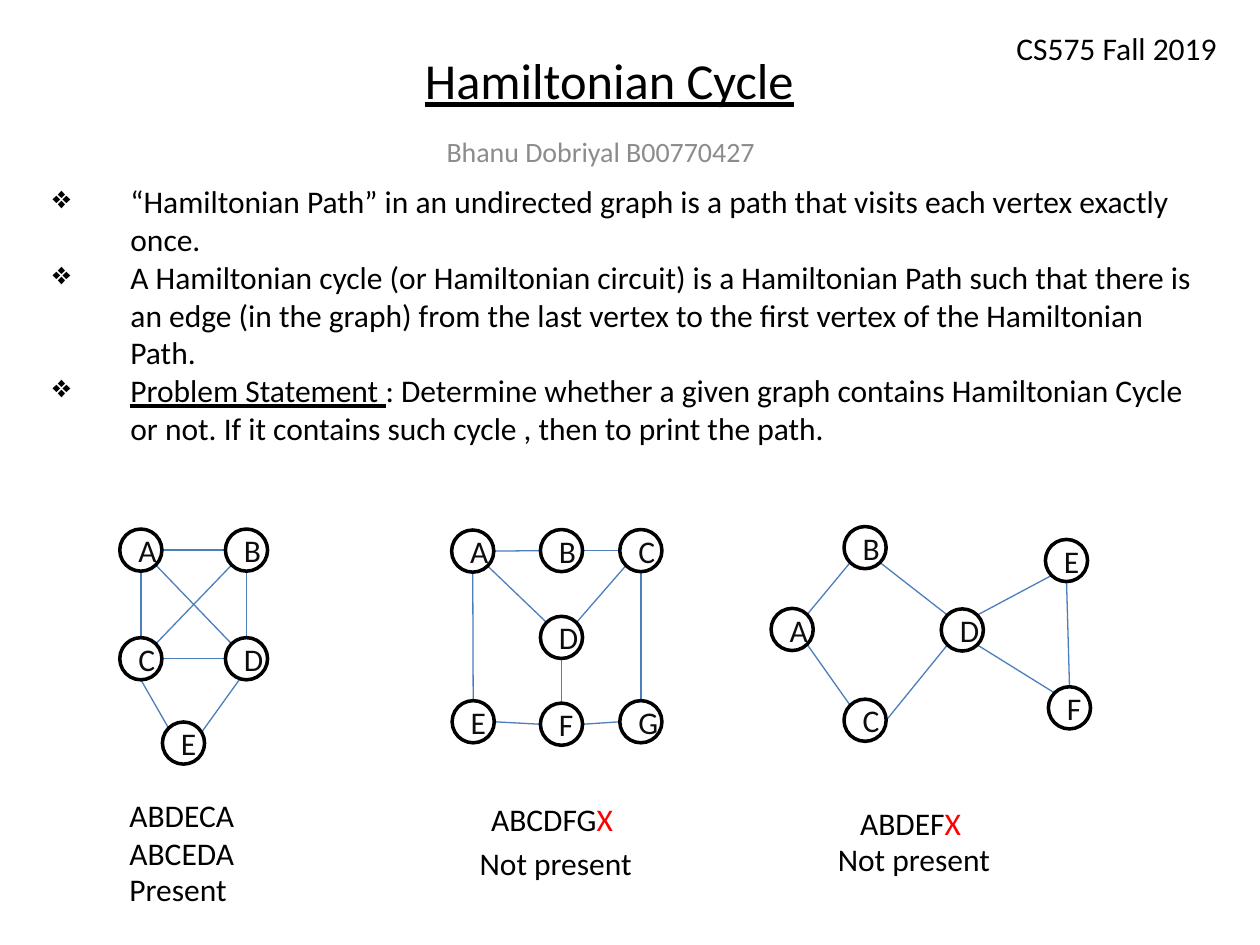
from dataclasses import dataclass
from math import cos, radians, sin

from lxml import etree
from pptx import Presentation
from pptx.dml.color import RGBColor
from pptx.enum.shapes import MSO_CONNECTOR, MSO_SHAPE
from pptx.enum.text import MSO_ANCHOR, PP_ALIGN
from pptx.oxml.ns import qn
from pptx.util import Cm, Pt

LEFT, CENTER = PP_ALIGN.LEFT, PP_ALIGN.CENTER
TOP, MIDDLE = MSO_ANCHOR.TOP, MSO_ANCHOR.MIDDLE
CIRCLE, STRAIGHT = MSO_SHAPE.OVAL, MSO_CONNECTOR.STRAIGHT
E, SE, S, SW, W, NW, N, NE = range(0, 360, 45)


@dataclass(frozen=True)
class Theme:
    font: str = "Calibri"
    ink: str = "000000"
    letter: str = "0D0D0D"
    muted: str = "8C8C8C"
    alert: str = "FF0000"
    edge: str = "4B7EBC"
    title_size: float = 28.8
    subtitle_size: float = 16
    body_size: float = 18
    ring_width: float = 2
    edge_width: float = 0.75
    vertex_diameter: float = 0.85
    bullet_indent: float = 1.57


THEME = Theme()


def assign(target, values):
    for key, value in values.items():
        setattr(target, key, value)


class GraphSlide:
    def __init__(self, slide, theme):
        self.shapes = slide.shapes
        self.theme = theme

    def add_runs(self, paragraph, runs, size, color, align):
        paragraph.alignment = align
        for wording, changes in runs:
            run = paragraph.add_run()
            run.text = wording
            style = {"size": Pt(size), "name": self.theme.font,
                     "underline": changes.get("underline", False)}
            assign(run.font, style)
            run.font.color.rgb = RGBColor.from_string(changes.get("color", color))

    def text(self, box, lines, size=THEME.body_size, color=THEME.ink,
             align=LEFT, anchor=TOP, bullet=None):
        frame = self.shapes.add_textbox(*map(Cm, box)).text_frame
        assign(frame, {"word_wrap": True, "vertical_anchor": anchor})
        for index, runs in enumerate(lines):
            paragraph = frame.add_paragraph() if index else frame.paragraphs[0]
            self.add_runs(paragraph, runs, size, color, align)
            if bullet:
                self.mark(paragraph, bullet)

    def mark(self, paragraph, bullet):
        indent = Cm(self.theme.bullet_indent)
        properties = paragraph._p.get_or_add_pPr()
        properties.set("marL", str(indent))
        properties.set("indent", str(-indent))
        etree.SubElement(properties, qn("a:buChar")).set("char", bullet)

    def vertex(self, letter, center):
        diameter = self.theme.vertex_diameter
        corner = [Cm(value - diameter / 2) for value in center]
        ring = self.shapes.add_shape(CIRCLE, *corner, Cm(diameter), Cm(diameter))
        ring.shadow.inherit = False
        ring.fill.background()
        ring.line.color.rgb = RGBColor.from_string(self.theme.ink)
        ring.line.width = Pt(self.theme.ring_width)
        self.add_runs(ring.text_frame.paragraphs[0], [(letter, {})],
                      self.theme.body_size, self.theme.letter, CENTER)

    def rim(self, center, angle):
        radius = self.theme.vertex_diameter / 2
        x, y = center
        return Cm(x + radius * cos(radians(angle))), Cm(y + radius * sin(radians(angle)))

    def edge(self, start, end):
        link = self.shapes.add_connector(STRAIGHT, *self.rim(*start), *self.rim(*end))
        link.line.color.rgb = RGBColor.from_string(self.theme.edge)
        link.line.width = Pt(self.theme.edge_width)
        etree.SubElement(link._element.spPr, qn("a:effectLst"))

    def graph(self, vertices, edges):
        for (start, end), (leaving, arriving) in edges.items():
            self.edge((vertices[start], leaving), (vertices[end], arriving))
        for letter, center in vertices.items():
            self.vertex(letter, center)


GRAPHS = [
    ({"A": (2.84, 11.09), "B": (4.97, 11.09), "C": (2.84, 13.28),
      "D": (4.97, 13.28), "E": (3.7, 14.98)},
     {"AB": (E, W), "CD": (E, W), "AC": (S, N), "BD": (S, N),
      "CE": (S, NW), "DE": (108, -31), "AD": (SE, NW), "BC": (SW, NE)}),
    ({"A": (9.53, 11.11), "B": (11.32, 11.1), "C": (12.92, 11.1),
      "D": (11.32, 12.85), "E": (9.54, 14.55), "F": (11.32, 14.6),
      "G": (12.92, 14.55)},
     {"AB": (E, W), "BC": (E, W), "CG": (S, N), "CD": (SW, NE), "AD": (SE, NW),
      "DF": (S, N), "EF": (E, W), "FG": (E, W), "AE": (S, N)}),
    ({"A": (15.97, 12.69), "B": (17.44, 11.04), "C": (17.44, 14.52),
      "D": (19.4, 12.7), "E": (21.5, 11.3), "F": (21.56, 14.27)},
     {"AC": (SE, NW), "AB": (NE, SW), "BD": (SE, NW), "CD": (E, SW),
      "DE": (NE, SW), "DF": (SE, NW), "EF": (S, N)}),
]

DEFINITIONS = [
    [("“Hamiltonian Path” in an undirected graph is a path that visits each "
      "vertex exactly once.", {})],
    [("A Hamiltonian cycle (or Hamiltonian circuit) is a Hamiltonian Path such "
      "that there is an edge (in the graph) from the last vertex to the first "
      "vertex of the Hamiltonian Path.", {})],
    [("Problem Statement ", {"underline": True}),
     (": Determine whether a given graph contains Hamiltonian Cycle or not. "
      "If it contains such cycle , then to print the path.", {})],
]

DEAD_END = ("X", {"color": THEME.alert})
RESULTS = [
    ((2.36, 15.93, 3.38, 1.8), [[("ABDECA", {})], [("ABCEDA", {})]]),
    ((9.65, 16, 3.18, 1.02), [[("ABCDFG", {}), DEAD_END]]),
    ((17.09, 16.08, 4.52, 1.07), [[("ABDEF", {}), DEAD_END]]),
    ((2.36, 17.42, 2.62, 1.02), [[("Present", {})]]),
    ((9.42, 16.89, 3.84, 1.02), [[("Not present", {})]]),
    ((16.64, 16.81, 4.24, 1.02), [[("Not present", {})]]),
]


def main():
    deck = Presentation()
    assign(deck, {"slide_width": Cm(25.4), "slide_height": Cm(19.05)})
    page = GraphSlide(deck.slides.add_slide(deck.slide_layouts[6]), THEME)

    page.text((7.42, 0.94, 9.73, 1.32), [[("Hamiltonian Cycle", {"underline": True})]],
              size=THEME.title_size, align=CENTER, anchor=MIDDLE)
    page.text((7.98, 2.59, 8.26, 0.97), [[("Bhanu Dobriyal B00770427", {})]],
              size=THEME.subtitle_size, color=THEME.muted, align=CENTER)
    page.text((20.24, 0.46, 4.75, 1.02), [[("CS575 Fall 2019", {})]])
    page.text((0.81, 3.55, 23.8, 7.65), DEFINITIONS, bullet="❖")
    for vertices, edges in GRAPHS:
        page.graph(vertices, edges)
    for box, lines in RESULTS:
        page.text(box, lines)

    deck.save("out.pptx")


if __name__ == "__main__":
    main()
